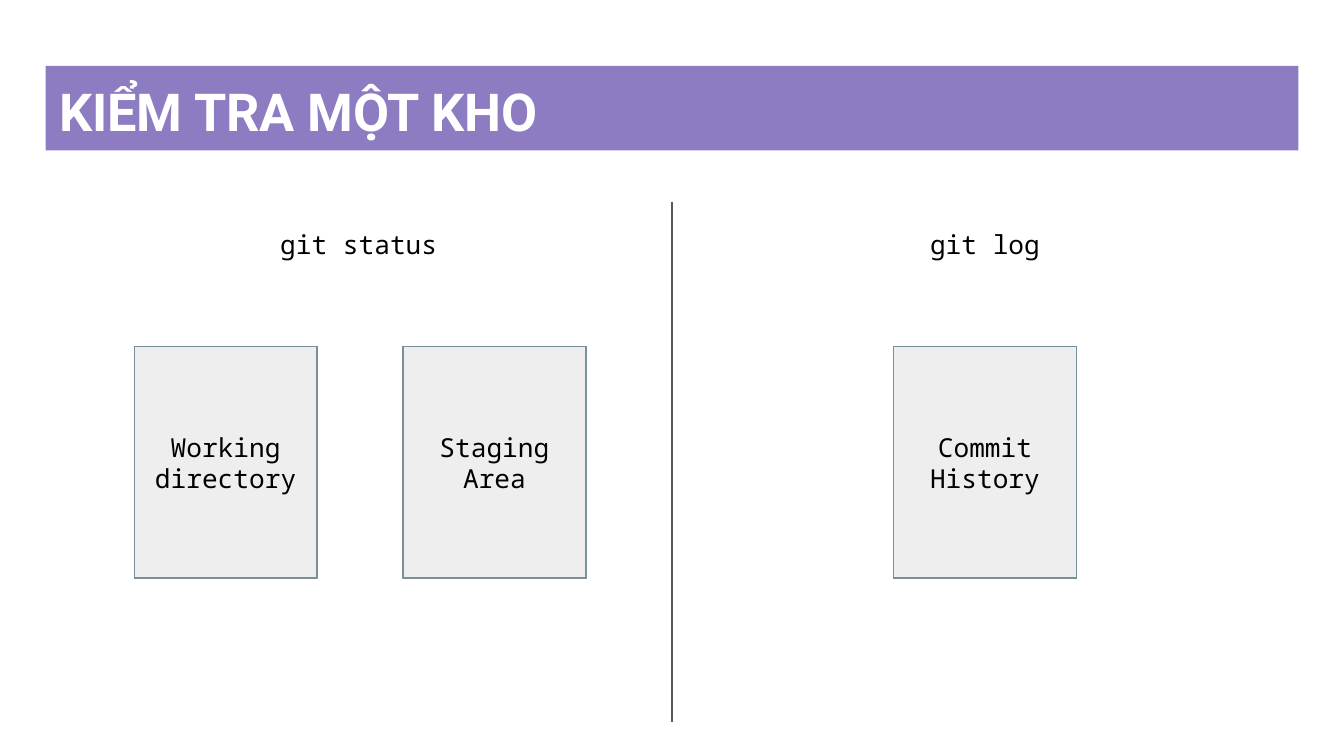
from lxml import etree
from pptx import Presentation
from pptx.dml.color import RGBColor
from pptx.enum.shapes import MSO_CONNECTOR, MSO_SHAPE
from pptx.enum.text import MSO_ANCHOR, MSO_AUTO_SIZE, PP_ALIGN
from pptx.oxml.ns import qn
from pptx.util import Inches, Pt

RECTANGLE = MSO_SHAPE.RECTANGLE
STRAIGHT = MSO_CONNECTOR.STRAIGHT
TOP, MIDDLE = MSO_ANCHOR.TOP, MSO_ANCHOR.MIDDLE
LEFT, CENTER = PP_ALIGN.LEFT, PP_ALIGN.CENTER

# Content: commands, and the areas they inspect (label, left edge)
TITLE = "KIỂM TRA MỘT KHO"
COMMANDS = ["git status", "git log"]
AREAS = [("Working directory", 1), ("Staging Area", 3), ("Commit History", 6.65)]

# Layout on a 16:9 page
WIDTH = 10
HEIGHT = WIDTH * 9 / 16
MARGIN = 0.34
CENTER_X = WIDTH / 2
COLUMN_WIDTH = CENTER_X - MARGIN
COLUMN_TOP, DIVIDER_BOTTOM = 1.5, 5.37
BAR_TOP, BAR_HEIGHT = 0.49, 0.63
AREA_TOP, AREA_WIDTH, AREA_HEIGHT = 2.58, 1.36, 1.72


def color(value):
    return RGBColor.from_string(value)


def set_line(line, hex_color):
    line.color.rgb = color(hex_color)
    line.width = Pt(0.75)


def set_fill(shape, hex_color):
    shape.fill.solid()
    shape.fill.fore_color.rgb = color(hex_color)


def write(shape, text, font_name, size, hex_color, bold, anchor, alignment):
    frame = shape.text_frame
    frame.word_wrap = True
    frame.auto_size = MSO_AUTO_SIZE.NONE
    frame.vertical_anchor = anchor
    frame.margin_left = frame.margin_right = Inches(0.1)
    frame.margin_top = frame.margin_bottom = Inches(0.1)
    frame.text = text
    paragraph = frame.paragraphs[0]
    paragraph.alignment = alignment
    paragraph.line_spacing = 1.0
    paragraph.space_before = Pt(0)
    font = paragraph.font
    font.name, font.size, font.bold = font_name, Pt(size), bold
    font.color.rgb = color(hex_color)


def write_label(shape, text):
    write(shape, text, "Noto Sans Mono", 14, "000000", False, MIDDLE, CENTER)


def add_area(slide, left, line_color):
    area = slide.shapes.add_shape(
        RECTANGLE, Inches(left), Inches(AREA_TOP),
        Inches(AREA_WIDTH), Inches(AREA_HEIGHT))
    area.shadow.inherit = False
    set_line(area.line, line_color)
    return area


presentation = Presentation()
presentation.slide_width = Inches(WIDTH)
presentation.slide_height = Inches(HEIGHT)
slide = presentation.slides.add_slide(presentation.slide_layouts[5])

# Title bar
title = slide.shapes.title
title.left, title.top = Inches(MARGIN), Inches(BAR_TOP)
title.width, title.height = Inches(WIDTH - 2 * MARGIN), Inches(BAR_HEIGHT)
set_fill(title, "8E7CC3")
write(title, TITLE, "Roboto", 28, "FFFFFF", True, TOP, LEFT)

# Divider between the two commands
divider = slide.shapes.add_connector(
    STRAIGHT, Inches(CENTER_X), Inches(COLUMN_TOP),
    Inches(CENTER_X), Inches(DIVIDER_BOTTOM))
set_line(divider.line, "595959")
etree.SubElement(divider._element.spPr, qn("a:effectLst"))

# Command headings
for column, command in enumerate(COMMANDS):
    heading = slide.shapes.add_textbox(
        Inches(MARGIN + column * COLUMN_WIDTH), Inches(COLUMN_TOP),
        Inches(COLUMN_WIDTH), Inches(BAR_HEIGHT))
    write_label(heading, command)

# Filled panels, then the outlined labels over them
for label, left in AREAS:
    set_fill(add_area(slide, left, "595959"), "EEEEEE")
for label, left in AREAS:
    outline = add_area(slide, left, "78909C")
    outline.fill.background()
    write_label(outline, label)

presentation.save("out.pptx")
